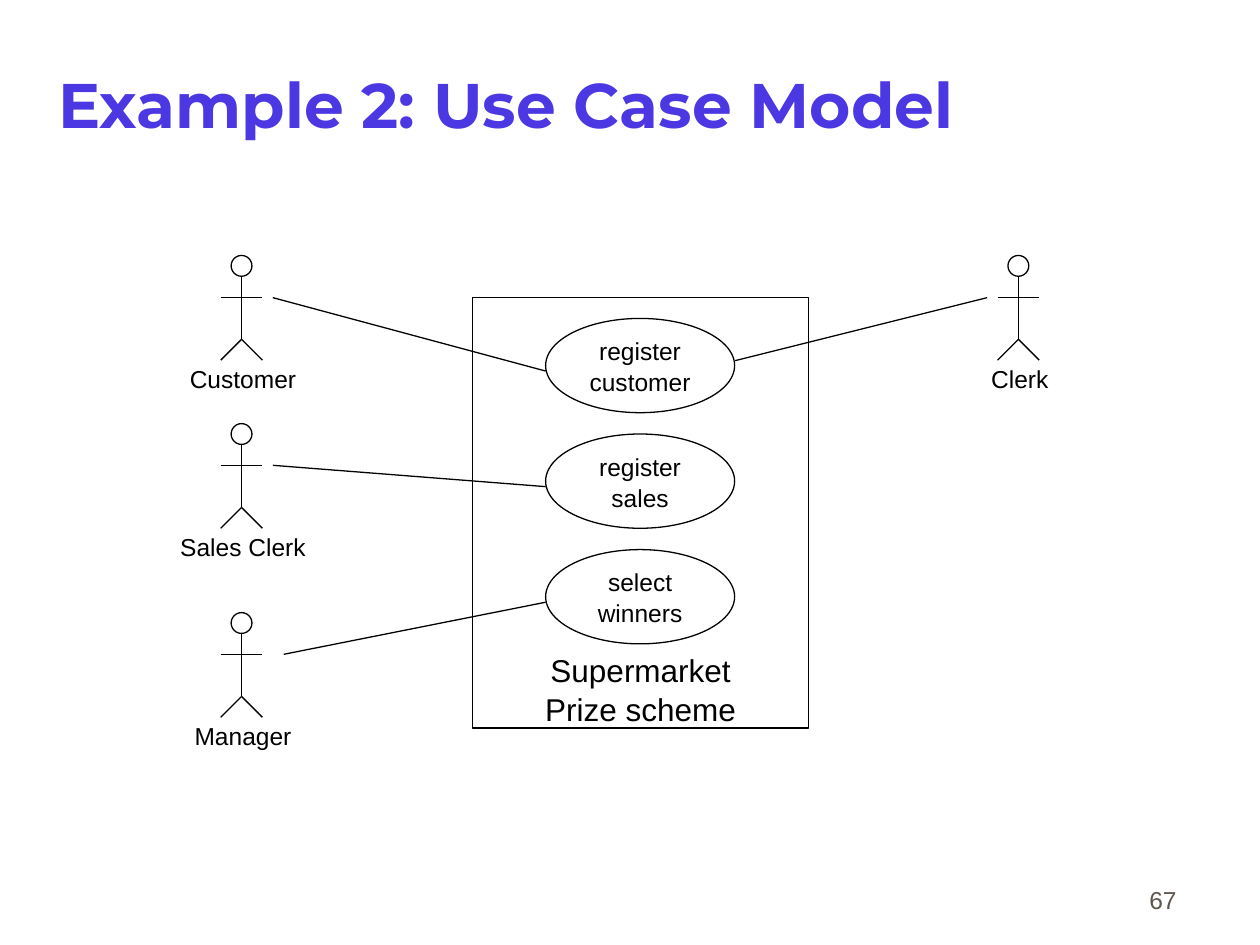
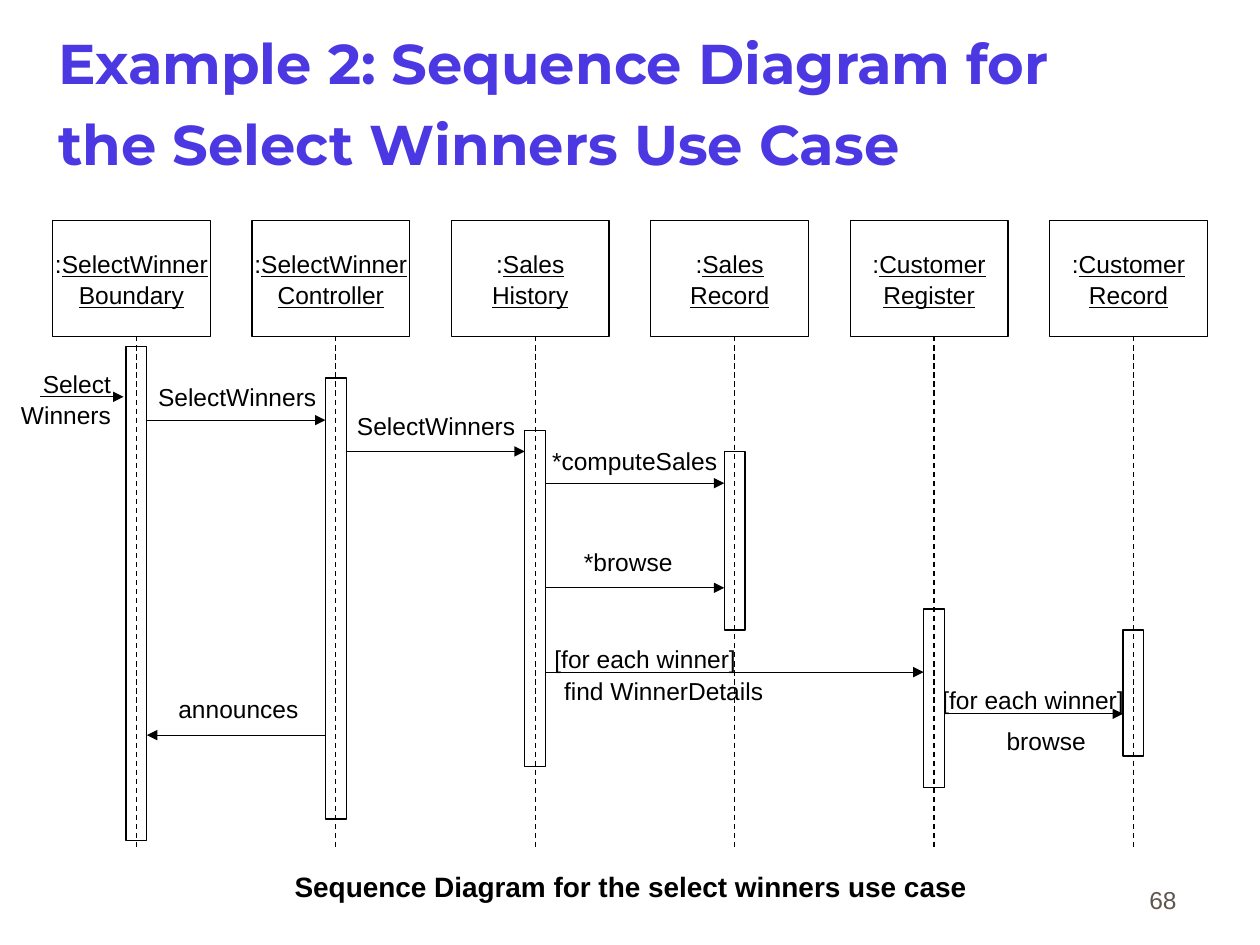
"""Build two UML slides: a use case model and a sequence diagram."""
from typing import NamedTuple

from pptx import Presentation
from pptx.dml.color import RGBColor
from pptx.enum.dml import MSO_LINE
from pptx.enum.shapes import MSO_CONNECTOR, MSO_SHAPE
from pptx.enum.text import MSO_ANCHOR as Anchor, MSO_AUTO_SIZE, PP_ALIGN as Align
from pptx.oxml.ns import qn
from pptx.util import Cm, Pt
from lxml.etree import SubElement

INK = "000000"
TITLE_COLOR = "4C38E2"
NUMBER_COLOR = "5E574E"
BODY_FONT = "Arial"
TITLE_FONT = "Montserrat"
LINE_WIDTH = 0.75
BODY_SIZE = 14

ARM_SPAN = 0.42
HEAD_SIZE = 0.42
CASE_LEFT, CASE_TOP, CASE_WIDTH, CASE_HEIGHT, CASE_PITCH = 11.0, 6.42, 3.81, 1.9, 2.33

OBJECT_LEFT, OBJECT_TOP, OBJECT_WIDTH, OBJECT_HEIGHT = 1.06, 4.45, 3.18, 2.33
LIFELINE_LEFT, LIFELINE_END, LANE_PITCH = 2.75, 17.15, 4.02
BAR_WIDTH = 0.42


class Actor(NamedTuple):
    name: str
    center: float
    top: float


class Association(NamedTuple):
    start: tuple[float, float]
    end: tuple[float, float]


class Participant(NamedTuple):
    name: str
    bar_top: float
    bar_height: float


class Message(NamedTuple):
    source: int
    target: int
    y: float


class Label(NamedTuple):
    text: str
    left: float
    top: float
    width: float


ACTORS = [
    Actor("Customer", 4.87, 5.15),
    Actor("Sales Clerk", 4.87, 8.54),
    Actor("Manager", 4.87, 12.35),
    Actor("Clerk", 20.53, 5.15),
]
USE_CASES = ["register\ncustomer", "register\nsales", "select\nwinners"]
ASSOCIATIONS = [
    Association((11.0, 7.48), (5.5, 6.0)),
    Association((11.0, 9.81), (5.5, 9.38)),
    Association((11.0, 12.14), (5.72, 13.19)),
    Association((14.82, 7.27), (19.9, 6.0)),
]
PARTICIPANTS = [
    Participant(":SelectWinner\nBoundary", 6.99, 9.95),
    Participant(":SelectWinner\nController", 7.62, 8.89),
    Participant(":Sales\nHistory", 8.68, 6.77),
    Participant(":Sales\nRecord", 9.1, 3.6),
    Participant(":Customer\nRegister", 12.28, 3.6),
    Participant(":Customer\nRecord", 12.7, 2.54),
]
MESSAGES = [
    Message(0, 1, 8.47),
    Message(1, 2, 9.1),
    Message(2, 3, 9.74),
    Message(2, 3, 11.85),
    Message(2, 4, 13.55),
    Message(4, 5, 14.39),
    Message(1, 0, 14.82),
]
LABELS = [
    Label("Select\nWinners", 0.41, 7.42, 1.83),
    Label("SelectWinners", 3.18, 7.67, 3.2),
    Label("SelectWinners", 7.19, 8.25, 3.2),
    Label("*computeSales", 11.13, 8.97, 3.33),
    Label("*browse", 11.76, 11.0, 1.8),
    Label("[for each winner]", 11.18, 12.95, 3.66),
    Label("find WinnerDetails", 11.38, 13.59, 4.01),
    Label("[for each winner]", 19.0, 13.79, 3.66),
    Label("browse", 20.29, 14.6, 1.6),
    Label("announces", 3.58, 13.97, 2.44),
]


def rgb(color: str) -> RGBColor:
    """Turn a hex string into a colour."""
    return RGBColor.from_string(color)


def add_span(para, text: str, *, size=BODY_SIZE, color=INK, font=BODY_FONT,
             bold=False, underline=False) -> None:
    """Append one formatted span to a paragraph."""
    span = para.add_run()
    span.text = text
    style = span.font
    style.size, style.name = Pt(size), font
    style.bold, style.underline = bold, underline
    style.color.rgb = rgb(color)


def write(shape, text: str, *, align=Align.CENTER, anchor=Anchor.MIDDLE, margin_x=0.0,
          margin_y=0.0, wrap=False, before=0.0, spacing=1.05, underline=False, **style):
    """Fill a shape with one paragraph per line; underlining skips a leading colon."""
    frame = shape.text_frame
    frame.auto_size = MSO_AUTO_SIZE.NONE
    frame.word_wrap = wrap
    frame.vertical_anchor = anchor
    frame.margin_left = frame.margin_right = Cm(margin_x)
    frame.margin_top = frame.margin_bottom = Cm(margin_y)
    for index, line in enumerate(text.split("\n")):
        para = frame.add_paragraph() if index else frame.paragraphs[0]
        para.alignment = align
        para.line_spacing = spacing
        para.space_before = Pt(before)
        if underline and line.startswith(":"):
            add_span(para, ":", **style)
            line = line[1:]
        add_span(para, line, underline=underline, **style)
    return frame


def add_outline(shapes, kind, left: float, top: float, width: float, height: float):
    """Draw an unfilled preset shape with a thin black line."""
    shape = shapes.add_shape(kind, Cm(left), Cm(top), Cm(width), Cm(height))
    shape.shadow.inherit = False
    shape.fill.background()
    shape.line.color.rgb = rgb(INK)
    shape.line.width = Pt(LINE_WIDTH)
    return shape


def add_line(shapes, start: tuple[float, float], end: tuple[float, float], *,
             dashed=False, arrow=False) -> None:
    """Draw a thin straight line, optionally dashed or with an arrowhead at its end."""
    line = shapes.add_connector(MSO_CONNECTOR.STRAIGHT, *(Cm(value) for value in start + end))
    line.line.color.rgb = rgb(INK)
    line.line.width = Pt(LINE_WIDTH)
    if dashed:
        line.line.dash_style = MSO_LINE.DASH
    if arrow:
        SubElement(line.line._get_or_add_ln(), qn("a:tailEnd"), type="triangle")
    SubElement(line._element.spPr, qn("a:effectLst"))


def add_text(shapes, text: str, left: float, top: float, width: float, height: float, **style):
    """Add a text box holding formatted text."""
    box = shapes.add_textbox(Cm(left), Cm(top), Cm(width), Cm(height))
    return write(box, text, **style)


def add_page(deck, title: str, number: int, *, size: float, before: float):
    """Add a title-only slide with its heading and page number."""
    page = deck.slides.add_slide(deck.slide_layouts[5])
    heading = page.shapes.title
    heading.left, heading.top, heading.width, heading.height = (
        Cm(value) for value in (1.12, 0.48, 21.59, 3.22))
    write(heading, title, size=size, color=TITLE_COLOR, font=TITLE_FONT, bold=True,
          align=Align.LEFT, wrap=True, before=before, spacing=1.0, margin_x=0.05, margin_y=0.13)
    add_text(page.shapes, str(number), 18.69, 17.3, 5.28, 1.27, color=NUMBER_COLOR,
             align=Align.RIGHT, anchor=Anchor.BOTTOM, margin_x=0.25, margin_y=0.13, wrap=True)
    return page


def draw_actor(shapes, actor: Actor) -> None:
    """Draw a grouped stick figure with its name below."""
    figure = shapes.add_group_shape().shapes
    x, neck = actor.center, actor.top + HEAD_SIZE
    shoulder, hip = neck + 0.43, neck + 1.27
    add_outline(figure, MSO_SHAPE.OVAL, x - HEAD_SIZE / 2, actor.top, HEAD_SIZE, HEAD_SIZE)
    add_line(figure, (x, neck), (x, hip))
    add_line(figure, (x - ARM_SPAN, shoulder), (x + ARM_SPAN, shoulder))
    for side in (-ARM_SPAN, ARM_SPAN):
        add_line(figure, (x, hip), (x + side, hip + ARM_SPAN))
    add_text(shapes, actor.name, x - 1.5, actor.top + 2.17, 3.06, 0.6)


def build_use_case_page(deck) -> None:
    """Build the use case model."""
    shapes = add_page(deck, "Example 2: Use Case Model", 67, size=36, before=8.1).shapes
    system = add_outline(shapes, MSO_SHAPE.RECTANGLE, 9.53, 6.0, 6.77, 8.68)
    write(system, "Supermarket\nPrize scheme", size=18, anchor=Anchor.BOTTOM)
    for index, name in enumerate(USE_CASES):
        case = add_outline(shapes, MSO_SHAPE.OVAL, CASE_LEFT, CASE_TOP + index * CASE_PITCH,
                           CASE_WIDTH, CASE_HEIGHT)
        write(case, name)
    for actor in ACTORS:
        draw_actor(shapes, actor)
    for link in ASSOCIATIONS:
        add_line(shapes, link.start, link.end)


def build_sequence_page(deck) -> None:
    """Build the sequence diagram."""
    page = add_page(deck, "Example 2: Sequence Diagram for the Select Winners Use Case", 68,
                    size=32, before=13.6)
    add_span(page.shapes.title.text_frame.paragraphs[0], " ", size=40, font=TITLE_FONT, bold=True)
    shapes = page.shapes
    lifelines = [LIFELINE_LEFT + lane * LANE_PITCH for lane in range(len(PARTICIPANTS))]
    for lane, (participant, x) in enumerate(zip(PARTICIPANTS, lifelines)):
        head = add_outline(shapes, MSO_SHAPE.RECTANGLE, OBJECT_LEFT + lane * LANE_PITCH,
                           OBJECT_TOP, OBJECT_WIDTH, OBJECT_HEIGHT)
        write(head, participant.name, underline=True)
        add_outline(shapes, MSO_SHAPE.RECTANGLE, x - BAR_WIDTH / 2, participant.bar_top,
                    BAR_WIDTH, participant.bar_height)
        add_line(shapes, (x, OBJECT_TOP + OBJECT_HEIGHT), (x, LIFELINE_END), dashed=True)
    add_line(shapes, (0.81, 8.0), (2.49, 8.0), arrow=True)
    for message in MESSAGES:
        edge = BAR_WIDTH / 2 if message.target > message.source else -BAR_WIDTH / 2
        add_line(shapes, (lifelines[message.source] + edge, message.y),
                 (lifelines[message.target] - edge, message.y), arrow=True)
    for label in LABELS:
        add_text(shapes, label.text, label.left, label.top, label.width,
                 0.6 * len(label.text.split("\n")), align=Align.RIGHT, anchor=Anchor.TOP)
    add_text(shapes, "Sequence Diagram for the select winners use case", 5.94, 17.5, 13.56, 0.69,
             size=16, bold=True, align=Align.LEFT, anchor=Anchor.TOP)


def main() -> None:
    """Create and save the deck."""
    deck = Presentation()
    deck.slide_width, deck.slide_height = Cm(25.4), Cm(19.05)
    build_use_case_page(deck)
    build_sequence_page(deck)
    deck.save("out.pptx")


if __name__ == "__main__":
    main()
